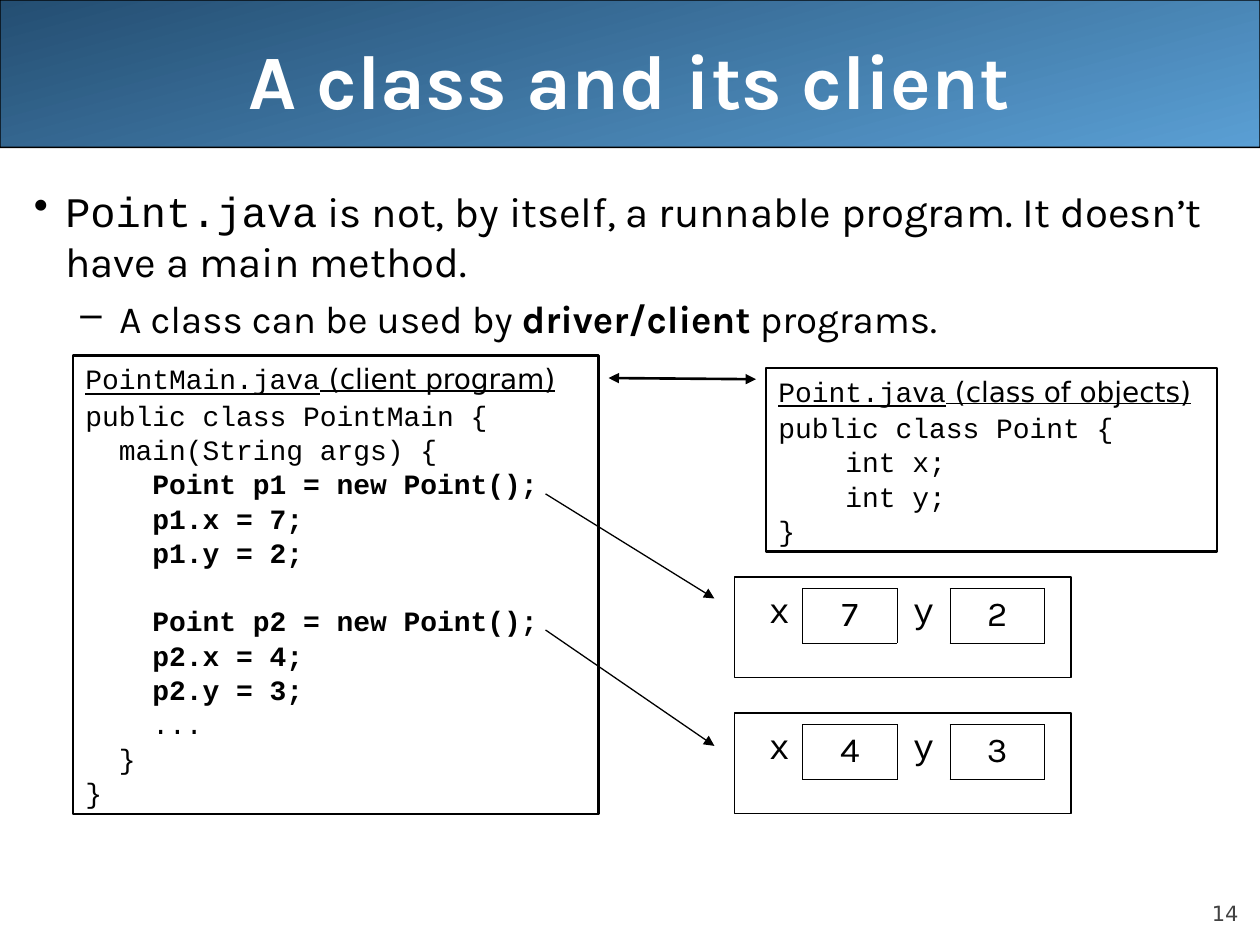
from lxml.etree import SubElement
from pptx import Presentation
from pptx.dml.color import RGBColor
from pptx.enum.shapes import MSO_CONNECTOR as Connector, MSO_SHAPE as Shape
from pptx.enum.text import MSO_ANCHOR as Anchor, PP_ALIGN as Align
from pptx.oxml.ns import qn
from pptx.util import Inches, Pt

CODE, PLAIN, SANS = "Courier New", "Karla", "DejaVu Sans"
BLACK, WHITE, GRAY = "000000", "FFFFFF", "424242"
LIGHT_BLUE, DARK_BLUE = "5A9FD4", "244E72"

TITLE = "A class and its client"
PAGE_NUMBER = "14"
BULLETS = [
    ("•", 0.25, 0.25, 24, [("Point.java", CODE, False),
                           (" is not, by itself, a runnable program. It doesn’t have a main method.", PLAIN, False)]),
    ("–", 0.68, 0.31, 22, [("A class can be used by ", PLAIN, False),
                           ("driver/client", PLAIN, True),
                           (" programs.", PLAIN, False)]),
]
LISTINGS = [
    ((0.58, 2.82, 4.17, 3.64), "PointMain.java", " (client program)", [
        ["public class PointMain {",
         "  main(String args) {",
         "    Point p1 = new Point();",
         "    p1.x = 7;",
         "    p1.y = 2;"],
        ["    Point p2 = new Point();",
         "    p2.x = 4;",
         "    p2.y = 3;",
         "    ...",
         "  }",
         "}"],
    ]),
    ((6.08, 2.92, 3.58, 1.46), "Point.java", " (class of objects)", [
        ["public class Point {",
         "    int x;",
         "    int y;",
         "}"],
    ]),
]
OBJECTS = [(4.58, [("x", "7"), ("y", "2")]), (5.66, [("x", "4"), ("y", "3")])]
FIELD_WIDTHS = [0.37, 0.75, 0.42, 0.75]
FIELD_HEIGHT = 0.43
ARROWS = [
    ((4.83, 3), (6, 3.01), 1.5, ["headEnd", "tailEnd"]),
    ((4.33, 3.92), (5.67, 4.75), 0.75, ["tailEnd"]),
    ((4.33, 5), (5.67, 5.92), 0.75, ["tailEnd"]),
]


def color(value):
    """Turn a hex string into a colour."""
    return RGBColor.from_string(value)


def add_run(paragraph, text, font, size, tint=BLACK, bold=False, underline=False):
    """Append one styled run."""
    run = paragraph.add_run()
    run.text = text
    run.font.name, run.font.size = font, Pt(size)
    run.font.bold, run.font.underline = bold, underline
    run.font.color.rgb = color(tint)


def add_text(slide, box, anchor=Anchor.TOP):
    """Add a wrapping text box and return its frame."""
    frame = slide.shapes.add_textbox(*map(Inches, box)).text_frame
    frame.word_wrap = True
    frame.vertical_anchor = anchor
    return frame


def add_box(slide, box, width, kind=Shape.RECTANGLE):
    """Add an outlined, unfilled shape."""
    shape = slide.shapes.add_shape(kind, *map(Inches, box))
    shape.shadow.inherit = False
    shape.fill.background()
    shape.line.color.rgb = color(BLACK)
    shape.line.width = Pt(width)
    return shape


def add_header(slide):
    """Add the gradient band, the title and the page number."""
    band = add_box(slide, (0, 0, 10, 1.17), 0.75, Shape.ROUNDED_RECTANGLE)
    band.adjustments[0] = 0.001
    band.fill.gradient()
    band.fill.gradient_angle = 105
    for stop, tint in zip(band.fill.gradient_stops, (LIGHT_BLUE, DARK_BLUE)):
        stop.color.rgb = color(tint)
    title = add_text(slide, (0.5, 0, 9, 1.25), Anchor.MIDDLE).paragraphs[0]
    title.alignment = Align.CENTER
    add_run(title, TITLE, PLAIN, 44, WHITE, bold=True)
    frame = add_text(slide, (9, 6.95, 0.83, 0.4), Anchor.BOTTOM)
    frame.margin_left = frame.margin_right = frame.margin_top = frame.margin_bottom = 0
    frame.paragraphs[0].alignment = Align.RIGHT
    add_run(frame.paragraphs[0], PAGE_NUMBER, SANS, 12, GRAY)


def add_bullets(slide):
    """Add the two-level bullet text."""
    frame = add_text(slide, (0.17, 1.42, 9.83, 5.67))
    for index, (mark, margin, hang, size, runs) in enumerate(BULLETS):
        paragraph = frame.add_paragraph() if index else frame.paragraphs[0]
        paragraph.level = index
        properties = paragraph._p.get_or_add_pPr()
        properties.set("marL", str(Inches(margin)))
        properties.set("indent", str(-Inches(hang)))
        if index:
            paragraph.space_before = Pt(5.5)
        SubElement(properties, qn("a:buChar"), char=mark)
        for text, font, bold in runs:
            add_run(paragraph, text, font, size, bold=bold)


def add_listing(slide, box, name, role, blocks):
    """Add a boxed code listing under an underlined heading."""
    frame = add_box(slide, box, 1.5).text_frame
    frame.word_wrap = True
    frame.vertical_anchor = Anchor.TOP
    heading = frame.paragraphs[0]
    heading.alignment = Align.LEFT
    add_run(heading, name, CODE, 16, underline=True)
    add_run(heading, role, SANS, 16, underline=True)
    for block_index, block in enumerate(blocks):
        for line_index, line in enumerate(block):
            paragraph = frame.add_paragraph()
            paragraph.alignment = Align.LEFT
            paragraph.line_spacing = 0.5
            paragraph.space_before = Pt(29.6 if block_index and not line_index else 10)
            add_run(paragraph, line, CODE, 16, bold=line.lstrip().startswith(("Point p", "p1.", "p2.")))


def set_borders(cell, visible):
    """Draw the named sides of a cell and hide the others."""
    properties = cell._tc.get_or_add_tcPr()
    for side in "LRTB":
        line = SubElement(properties, qn(f"a:ln{side}"), w=str(Pt(0.45)))
        if side in visible:
            SubElement(SubElement(line, qn("a:solidFill")), qn("a:srgbClr"), val=BLACK)
        else:
            SubElement(line, qn("a:noFill"))
    cell.fill.background()


def add_object(slide, top, fields):
    """Add an object box with its labelled fields."""
    add_box(slide, (5.83, top, 2.67, 0.8), 0.75)
    area = (6, top + 0.09, sum(FIELD_WIDTHS), FIELD_HEIGHT)
    table = slide.shapes.add_table(1, len(FIELD_WIDTHS), *map(Inches, area)).table
    table.first_row = table.horz_banding = False
    for column, width in zip(table.columns, FIELD_WIDTHS):
        column.width = Inches(width)
    texts = [text for field in fields for text in field]
    for index, text in enumerate(texts):
        cell = table.cell(0, index)
        is_value = index % 2 == 1
        set_borders(cell, "LRTB" if is_value else "LR" if index else "R")
        paragraph = cell.text_frame.paragraphs[0]
        paragraph.alignment = Align.CENTER
        add_run(paragraph, text, PLAIN if is_value else CODE, 20)


def add_arrow(slide, start, end, width, ends):
    """Add a straight line with triangle heads."""
    arrow = slide.shapes.add_connector(Connector.STRAIGHT, *map(Inches, start + end))
    arrow.line.color.rgb = color(BLACK)
    arrow.line.width = Pt(width)
    for tag in ends:
        SubElement(arrow.get_or_add_ln(), qn(f"a:{tag}"), type="triangle")
    SubElement(arrow._element.spPr, qn("a:effectLst"))


def main():
    """Build and save the slide."""
    presentation = Presentation()
    presentation.slide_width, presentation.slide_height = Inches(10), Inches(7.5)
    slide = presentation.slides.add_slide(presentation.slide_layouts[6])
    add_header(slide)
    add_bullets(slide)
    for listing in LISTINGS:
        add_listing(slide, *listing)
    for top, fields in OBJECTS:
        add_object(slide, top, fields)
    for arrow in ARROWS:
        add_arrow(slide, *arrow)
    presentation.save("out.pptx")


if __name__ == "__main__":
    main()
